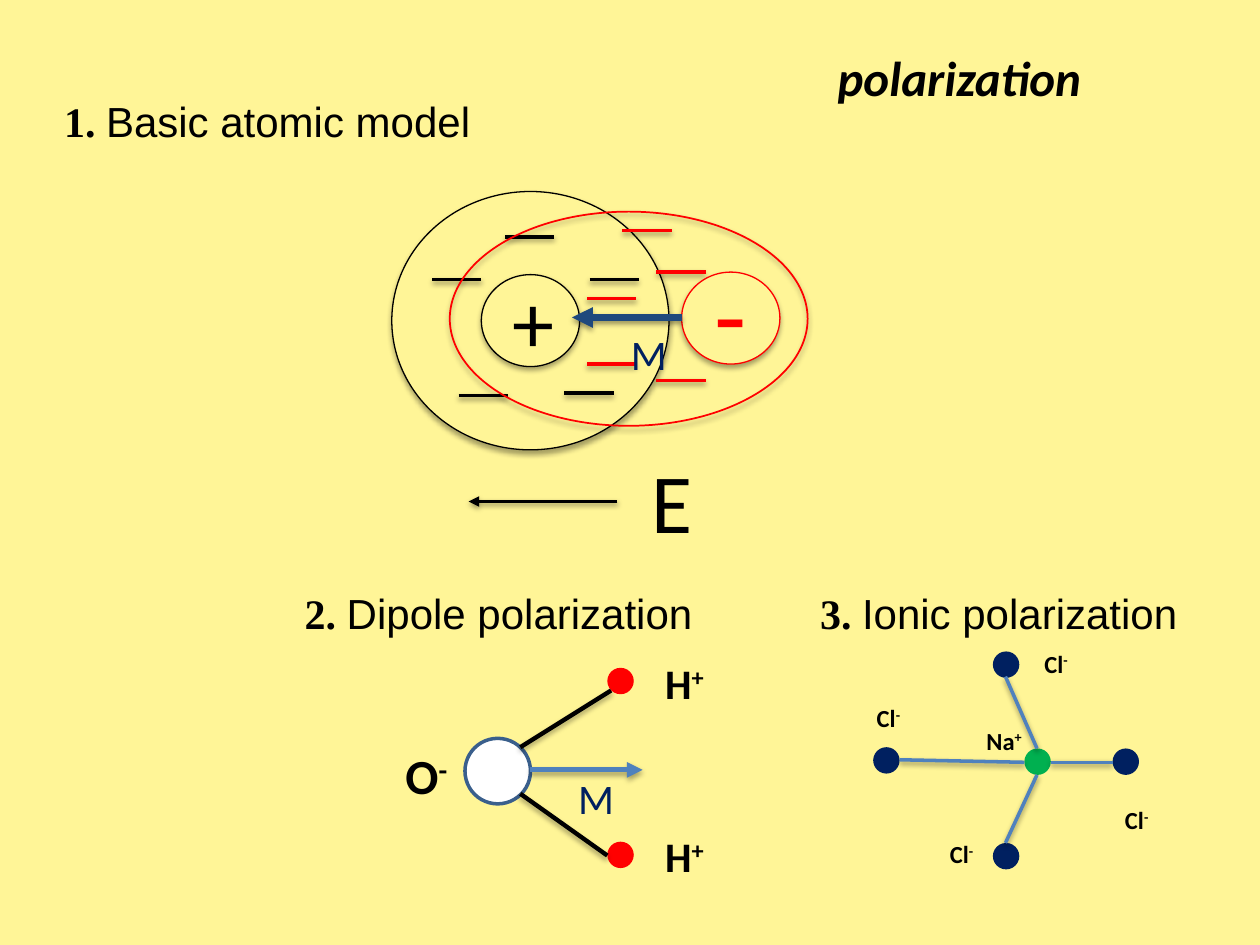
from lxml import etree
from pptx import Presentation
from pptx.dml.color import RGBColor
from pptx.enum.shapes import MSO_CONNECTOR, MSO_SHAPE
from pptx.enum.text import MSO_ANCHOR, PP_ALIGN
from pptx.oxml.ns import qn
from pptx.util import Inches, Pt

STRAIGHT = MSO_CONNECTOR.STRAIGHT
OVAL = MSO_SHAPE.OVAL
CENTER, JUSTIFY = PP_ALIGN.CENTER, PP_ALIGN.JUSTIFY
MIDDLE = MSO_ANCHOR.MIDDLE

CREAM, BLACK, RED, WHITE = "FFF597", "000000", "FF0000", "FFFFFF"
NAVY, BLUE, STEEL, GREEN = "002060", "4F81BD", "1F497D", "00B050"
OXYGEN_EDGE = "3A5F8C"
SOFT, STRONG = (35, 1.8), (38, 1.6)

HEADINGS = [
    ("1. ", "Basic atomic model", 0.41, 0.71, 6.48),
    ("2. ", "Dipole polarization", 2.32, 4.61, 6.48),
    ("3. ", "Ionic polarization", 6.41, 4.61, 3.15),
]
ATOM = [
    (3.11, 1.52, 2.2, 2.05, CREAM, BLACK, 0.75),
    (3.82, 2.18, 0.78, 0.73, CREAM, BLACK, 0.75),
]
CLOUD = [
    (3.57, 1.68, 2.84, 1.7, None, RED, 1),
    (5.41, 2.16, 0.78, 0.73, CREAM, RED, 0.75),
]
DASH = 0.39
ELECTRONS = {
    BLACK: [(4.01, 1.88), (4.68, 2.22), (3.64, 3.14), (4.48, 3.12), (3.43, 2.22)],
    RED: [(4.94, 1.83), (5.21, 2.16), (4.66, 2.89), (5.21, 3.02), (4.66, 2.37)],
}
SYMBOLS = [
    ("+", 3.97, 2.09, 0.48, 0.91, 48, BLACK),
    ("E", 5.07, 3.52, 0.48, 0.91, 48, BLACK),
    ("-", 5.57, 1.92, 0.48, 1.11, 60, RED),
    ("M", 4.49, 6.08, 0.23, 0.5, 24, NAVY),
    ("M", 4.91, 2.56, 0.23, 0.5, 24, NAVY),
]
ARROWS = [
    (4.9, 3.98, 3.72, 3.98, BLACK, 2, STRONG),
    (5.41, 2.52, 4.54, 2.52, STEEL, 4, STRONG),
    (4.21, 6.11, 5.1, 6.11, BLUE, 3, SOFT),
]
DOT = 0.21
DOTS = [
    (4.82, 5.3, RED), (4.82, 6.68, RED),
    (8.13, 5.94, GREEN), (8.83, 5.94, NAVY), (7.88, 5.17, NAVY),
    (6.93, 5.93, NAVY), (7.88, 6.69, NAVY),
]
BONDS = [
    (4.13, 5.93, 4.85, 5.48, BLACK, 2.5, SOFT),
    (4.13, 6.3, 4.82, 6.79, BLACK, 2.5, SOFT),
    (7.14, 6.03, 8.13, 6.05, BLUE, 2, STRONG),
    (8.34, 6.05, 8.83, 6.05, BLUE, 2, STRONG),
    (8.23, 6.15, 7.98, 6.69, BLUE, 2, STRONG),
    (7.98, 5.37, 8.23, 5.94, BLUE, 2, STRONG),
]
IONS = [
    ("O", "-", 3.12, 5.87, 0.76, 0.57, 28),
    ("H", "+", 5.18, 5.17, 0.75, 0.5, 24),
    ("H", "+", 5.18, 6.54, 0.55, 0.5, 24),
    ("Na", "+", 7.73, 5.71, 0.75, 0.34, 14),
    ("Cl", "-", 8.83, 6.34, 0.75, 0.34, 14),
    ("Cl", "-", 7.44, 6.61, 0.75, 0.34, 14),
    ("Cl", "-", 8.19, 5.1, 0.75, 0.34, 14),
    ("Cl", "-", 6.86, 5.53, 0.75, 0.34, 14),
]


def rgb(value):
    return RGBColor.from_string(value)


def add_shadow(sp, shadow):
    opacity, distance = shadow
    props = sp._element.spPr
    for old in props.findall(qn("a:effectLst")):
        props.remove(old)
    effects = etree.SubElement(props, qn("a:effectLst"))
    outer = etree.SubElement(effects, qn("a:outerShdw"), blurRad=str(Pt(3.1)),
                             dist=str(Pt(distance)), dir="5400000", rotWithShape="0")
    color = etree.SubElement(outer, qn("a:srgbClr"), val=BLACK)
    etree.SubElement(color, qn("a:alpha"), val=str(opacity * 1000))


def add_oval(s, x, y, w, h, fill, line=None, width=1, shadow=None):
    sp = s.shapes.add_shape(OVAL, *map(Inches, (x, y, w, h)))
    sp.shadow.inherit = False
    if fill:
        sp.fill.solid()
        sp.fill.fore_color.rgb = rgb(fill)
    else:
        sp.fill.background()
    if line:
        sp.line.color.rgb = rgb(line)
        sp.line.width = Pt(width)
    else:
        sp.line.fill.background()
    if shadow:
        add_shadow(sp, shadow)


def add_line(s, x1, y1, x2, y2, color, width, shadow, arrow=False):
    sp = s.shapes.add_connector(STRAIGHT, *map(Inches, (x1, y1, x2, y2)))
    sp.line.color.rgb = rgb(color)
    sp.line.width = Pt(width)
    if arrow:
        etree.SubElement(sp.line._get_or_add_ln(), qn("a:tailEnd"), type="triangle")
    add_shadow(sp, shadow)


def add_text(s, x, y, w, h, texts, size, color=BLACK, font="Calibri"):
    tf = s.shapes.add_textbox(*map(Inches, (x, y, w, h))).text_frame
    tf.word_wrap = True
    p = tf.paragraphs[0]
    p.font.size = Pt(size)
    p.font.name = font
    p.font.color.rgb = rgb(color)
    for text in texts:
        p.add_run().text = text
    return tf, p


def main():
    prs = Presentation()
    prs.slide_width, prs.slide_height = Inches(10), Inches(7.5)
    s = prs.slides.add_slide(prs.slide_layouts[6])
    s.background.fill.solid()
    s.background.fill.fore_color.rgb = rgb(CREAM)

    tf, p = add_text(s, 6.5, 0.26, 2.23, 0.7, ["polarization"], 28)
    tf.vertical_anchor = MIDDLE
    p.alignment = CENTER
    p.font.bold = p.font.italic = True

    for number, title, x, y, w in HEADINGS:
        tf, p = add_text(s, x, y, w, 0.5, [number, title], 24, font="Arial")
        p.alignment = JUSTIFY
        p.runs[0].font.name = "Times New Roman"
        p.runs[0].font.bold = True

    for oval in ATOM:
        add_oval(s, *oval, SOFT)
    for color, places in ELECTRONS.items():
        for x, y in places:
            add_line(s, x, y, x + DASH, y, color, 2, STRONG)
    for oval in CLOUD:
        add_oval(s, *oval, SOFT)

    add_oval(s, 3.69, 5.86, 0.52, 0.52, WHITE, OXYGEN_EDGE, 2)
    for x, y, color in DOTS:
        add_oval(s, x, y, DOT, DOT, color)
    for bond in BONDS:
        add_line(s, *bond)
    for arrow in ARROWS:
        add_line(s, *arrow, arrow=True)

    for text, x, y, w, h, size, color in SYMBOLS:
        add_text(s, x, y, w, h, [text], size, color)
    for element, charge, x, y, w, h, size in IONS:
        tf, p = add_text(s, x, y, w, h, [element, charge], size)
        p.font.bold = True
        p.runs[1].font._element.set("baseline", "30000")

    prs.save("out.pptx")


if __name__ == "__main__":
    main()
